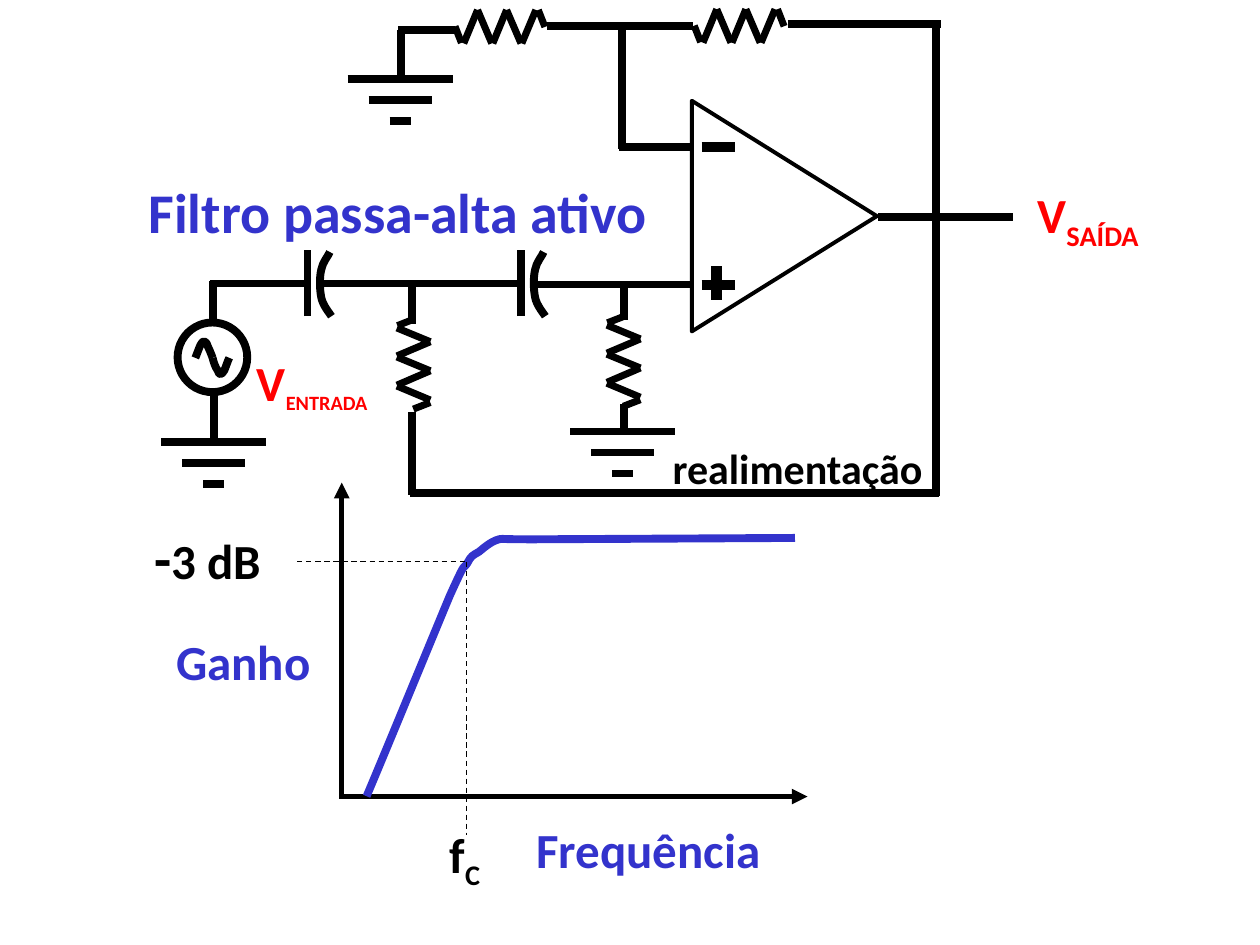
import pptx
import pptx.dml.color
import pptx.enum.dml
import pptx.enum.shapes
import pptx.enum.text
import pptx.oxml.ns
import pptx.util

Pt = pptx.util.Pt
RGBColor = pptx.dml.color.RGBColor
qn = pptx.oxml.ns.qn
BLACK = RGBColor(0x00, 0x00, 0x00)
BLUE = RGBColor(0x33, 0x33, 0xCC)
RED = RGBColor(0xFF, 0x00, 0x00)

ZIGZAG = [
    ((0, 0), (3.7, 9.4)),
    ((5, 9.7), (12.9, -9.4)),
    ((12.9, -9.4), (21, 9.7)),
    ((21.6, 9.7), (29.5, -9.4)),
    ((29.5, -9.4), (37.7, 9.7)),
    ((38.2, 9.7), (46.2, -9.4)),
    ((47.6, -9.4), (51.4, 0.3)),
]


def write(paragraph, text, size=28, color=BLACK, subscript=False):
    run = paragraph.add_run()
    run.text = text
    run.font.name = "Calibri"
    run.font.size = Pt(size)
    run.font.bold = True
    run.font.color.rgb = color
    if subscript:
        run.font._element.set("baseline", "-25000")


class Diagram:
    wire_width = 4.5
    resistor_width = 4

    def __init__(self, slide):
        self.shapes = slide.shapes

    def stroke(self, shape, width, color=BLACK):
        shape.line.color.rgb = color
        shape.line.width = Pt(width)

    def wire(self, x1, y1, x2, y2, width=wire_width, dashed=False, arrow=False):
        line = self.shapes.add_connector(
            pptx.enum.shapes.MSO_CONNECTOR.STRAIGHT, Pt(x1), Pt(y1), Pt(x2), Pt(y2))
        self.stroke(line, width)
        if dashed:
            line.line.dash_style = pptx.enum.dml.MSO_LINE.DASH
        properties = line._element.spPr
        if arrow:
            tip = properties.makeelement(qn("a:tailEnd"), {"type": "triangle"})
            properties.find(qn("a:ln")).append(tip)
        properties.append(properties.makeelement(qn("a:effectLst")))

    def outline(self, kind, left, top, width, height, line_width, rotation=0):
        shape = self.shapes.add_shape(kind, Pt(left), Pt(top), Pt(width), Pt(height))
        shape.rotation = rotation
        shape.shadow.inherit = False
        shape.fill.background()
        self.stroke(shape, line_width)

    def curve(self, start, points, color=BLACK, straight=0):
        builder = self.shapes.build_freeform(Pt(start[0]), Pt(start[1]), scale=1.0)
        builder.add_line_segments([(Pt(x), Pt(y)) for x, y in points], close=False)
        shape = builder.convert_to_shape()
        shape.shadow.inherit = False
        shape.fill.background()
        self.stroke(shape, self.wire_width, color)
        steps = list(shape._element.iter(qn("a:lnTo")))[straight:]
        for first in range(0, len(steps), 3):
            bezier = steps[first].makeelement(qn("a:cubicBezTo"))
            steps[first].addprevious(bezier)
            for step in steps[first:first + 3]:
                bezier.append(step[0])
                step.getparent().remove(step)

    def resistor(self, x, y, vertical=False):
        for ends in ZIGZAG:
            turned = [(-b, a) if vertical else (a, b) for a, b in ends]
            (x1, y1), (x2, y2) = turned
            self.wire(x + x1, y + y1, x + x2, y + y2, self.resistor_width)

    def ground(self, x, y):
        for level, half in enumerate((30, 18, 6)):
            self.wire(x - half, y + 12 * level, x + half, y + 12 * level)

    def capacitor(self, x):
        self.wire(x, 180.7, x, 142.6)
        self.curve((x + 13.7, 180.7), [
            (x + 12.6, 178.9), (x + 8.6, 174.2), (x + 7.9, 169.9),
            (x + 6.9, 165.2), (x + 6.9, 158), (x + 7.9, 154.1),
            (x + 8.6, 149.8), (x + 12, 146.2), (x + 12.8, 144),
        ])

    def label(self, left, top, width, height, *runs):
        box = self.shapes.add_textbox(Pt(left), Pt(top), Pt(width), Pt(height))
        box.text_frame.word_wrap = False
        box.text_frame.auto_size = pptx.enum.text.MSO_AUTO_SIZE.SHAPE_TO_FIT_TEXT
        for text, style in runs:
            write(box.text_frame.paragraphs[0], text, **style)


def draw_circuit(diagram):
    kinds = pptx.enum.shapes.MSO_SHAPE
    diagram.outline(kinds.ISOSCELES_TRIANGLE, 382.3, 70.6, 131.8, 105.8, 2.25, 90)
    input_signs = [
        (401, 84, 420, 84), (401, 162.8, 420.2, 162.8), (409.5, 171.4, 409.5, 152),
    ]
    for sign in input_signs:
        diagram.wire(*sign, width=6)

    wires = [
        (501.8, 123.8, 578.9, 123.8), (395.3, 162.6, 303.1, 162.6),
        (395.3, 83.8, 353.5, 83.8), (355.5, 85, 355.5, 13.7),
        (450, 13.6, 537.8, 13.6), (535, 13.6, 535, 283.7),
        (312.5, 15.1, 396, 15.1), (260, 17.1, 227.5, 17.1),
        (229, 44, 229, 17.3), (121.7, 160.6, 121.7, 183.6),
        (122.2, 251.3, 122.2, 224.6), (356.4, 245.5, 356.4, 231.1),
        (356.4, 182.9, 356.4, 163.4), (234, 281.5, 536.4, 281.5),
        (298.8, 162, 181.4, 162), (175, 162, 120.2, 162),
        (235.4, 235.4, 235.4, 283), (235.4, 185, 235.4, 164.2),
    ]
    for wire in wires:
        diagram.wire(*wire)

    for x, y, vertical in [(396.7, 14.7, False), (260, 15.1, False),
                           (236.5, 182.4, True), (356.5, 180.8, True)]:
        diagram.resistor(x, y, vertical)
    for x, y in [(228.7, 45.1), (122.1, 252.5), (356, 246.6)]:
        diagram.ground(x, y)
    for x in (175.7, 297.9):
        diagram.capacitor(x)

    diagram.outline(kinds.OVAL, 101.5, 184.3, 39.8, 39.8, 4.5)
    diagram.curve((111.6, 204.5), [
        (112.3, 203), (113.8, 198.7), (114.5, 197.3),
        (115.2, 195.8), (115.9, 195.1), (116.6, 195.1),
        (117.4, 195.1), (118.1, 195.8), (118.8, 198),
        (119.5, 199.4), (121, 203), (121.5, 204.5),
    ])
    diagram.curve((131, 204.5), [
        (130.3, 205.9), (128.9, 210.2), (128.2, 211.7),
        (127.4, 213.1), (126.7, 213.8), (126, 213.8),
        (125.3, 213.8), (125.3, 213.8), (124.4, 211.7),
        (123.1, 210.2), (121.7, 205.9), (121.5, 204.5),
    ])


def draw_response(diagram):
    diagram.wire(195.3, 456.5, 195.3, 275.8, 3, arrow=True)
    diagram.wire(195.3, 455.2, 461.5, 455.2, 3, arrow=True)
    diagram.curve((454.3, 307.4), [
        (305.3, 308.2),
        (277.2, 308.2), (290.2, 307.4), (285.1, 308.2),
        (280.1, 309.6), (276.5, 313.2), (273.6, 315.4),
        (270, 317.5), (269.3, 317.5), (267.1, 321.8),
        (264.2, 326.2), (267.1, 318.2), (257, 340.6),
        (247.7, 362.9), (219.6, 431.3), (209.5, 455),
    ], BLUE, straight=1)
    diagram.wire(169.9, 320.9, 267.1, 320.9, 0.75, dashed=True)
    diagram.wire(266.4, 321.1, 266.4, 477.4, 0.75, dashed=True)


def draw_labels(diagram):
    blue = dict(color=BLUE)
    red = dict(color=RED)
    diagram.label(139.7, 198, 77.8, 42.5, ("V", red),
                  ("ENTRADA", dict(size=20, color=RED, subscript=True)))
    diagram.label(77.8, 97.9, 301, 46.1,
                  ("Filtro passa-alta ativo", dict(size=32, color=BLUE)))
    diagram.label(585.8, 102.2, 73, 45.4, ("V", red),
                  ("SAÍDA", dict(color=RED, subscript=True)))
    diagram.label(299.5, 464.7, 142.9, 41, ("Frequência", blue))
    diagram.label(93.6, 357.1, 92.2, 41, ("Ganho", blue))
    diagram.label(249.8, 467.6, 31.9, 45.4, ("f", {}), ("C", dict(subscript=True)))
    diagram.label(81.2, 295.4, 76.4, 46.1, ("-", dict(size=32)), ("3 dB", {}))
    diagram.label(377.3, 249.1, 157.9, 36, ("realimentação", dict(size=24)))


def main():
    deck = pptx.Presentation()
    deck.slide_width, deck.slide_height = Pt(720), Pt(540)
    diagram = Diagram(deck.slides.add_slide(deck.slide_layouts[6]))
    draw_circuit(diagram)
    draw_response(diagram)
    draw_labels(diagram)
    deck.save("out.pptx")


if __name__ == "__main__":
    main()
